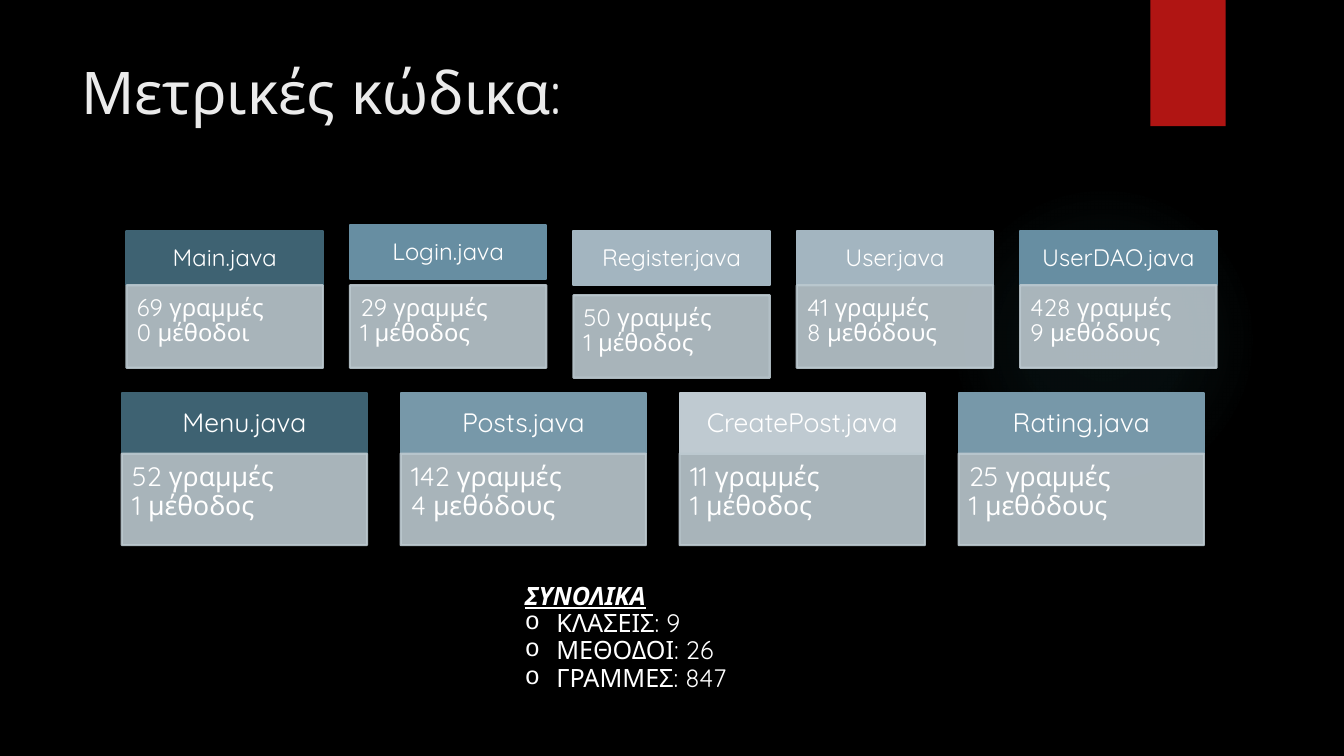
"""Builds the code metrics slide."""
from pptx import Presentation
from pptx.dml.color import RGBColor
from pptx.enum import shapes, text
from pptx.oxml import parse_xml
from pptx.oxml.ns import nsdecls, qn
from pptx.util import Cm, Pt
from lxml import etree

FONT = "Quicksand"
WHITE = "FFFFFF"
PANEL = "BBC8CF"
TOP_CLASSES = [
    ("Main.java", "3E6272", ["69 γραμμές", "0 μέθοδοι"], 0, 0),
    ("Login.java", "678EA2", ["29 γραμμές", "1 μέθοδος"], -0.15, 0),
    ("Register.java", "A3B5C0", ["50 γραμμές", "1 μέθοδος"], 0, 0.25),
    ("User.java", "A3B5C0", ["41 γραμμές", "8 μεθόδους"], 0, 0),
    ("UserDAO.java", "678EA2", ["428 γραμμές", "9 μεθόδους"], 0, 0),
]
BOTTOM_CLASSES = [
    ("Menu.java", "3E6272", ["52 γραμμές", "1 μέθοδος"], 0, 0),
    ("Posts.java", "7798A9", ["142 γραμμές", "4 μεθόδους"], 0, 0),
    ("CreatePost.java", "BFCAD1", ["11 γραμμές", "1 μέθοδος"], 0, 0),
    ("Rating.java", "7798A9", ["25 γραμμές", "1 μεθόδους"], 0, 0),
]


def paint(fill, colour, alpha=100):
    """Give a fill a solid colour and an opacity in percent."""
    fill.solid()
    fill.fore_color.rgb = RGBColor.from_string(colour)
    if alpha < 100:
        element = fill._xPr.find(qn("a:solidFill"))[0]
        etree.SubElement(element, qn("a:alpha"), val=str(alpha * 1000))


def add_run(paragraph, words, size, colour=WHITE):
    """Add one run in the slide font and return it."""
    run = paragraph.add_run()
    run.text = words
    run.font.name = FONT
    run.font.size = Pt(size)
    run.font.color.rgb = RGBColor.from_string(colour)
    return run


def add_lines(frame, lines, size, align=text.PP_ALIGN.LEFT):
    """Write each line as a paragraph of the frame."""
    for index, line in enumerate(lines):
        paragraph = frame.paragraphs[0] if index == 0 else frame.add_paragraph()
        paragraph.alignment = align
        paragraph.line_spacing = 0.9
        add_run(paragraph, line, size)


def add_block(slide, box, colour, alpha=100, outlined=True, preset=shapes.MSO_SHAPE.RECTANGLE):
    """Add a flat shape at a box given in centimetres."""
    shape = slide.shapes.add_shape(preset, *map(Cm, box))
    shape.shadow.inherit = False
    paint(shape.fill, colour, alpha)
    if outlined:
        shape.line.width = Pt(1.5)
        paint(shape.line.fill, colour, alpha)
    else:
        shape.line.fill.background()
    return shape


def set_frame(shape, anchor, insets):
    """Set anchor and left, top, right and bottom insets in centimetres."""
    frame = shape.text_frame
    frame.word_wrap = True
    frame.vertical_anchor = anchor
    (frame.margin_left, frame.margin_top,
     frame.margin_right, frame.margin_bottom) = map(Cm, insets)
    return frame


def add_class_row(slide, classes, left, top, pitch, width, heights, size):
    """Add a row of cards, each with a file name above its metrics."""
    header_height, body_height = heights
    for index, (name, colour, metrics, header_shift, body_shift) in enumerate(classes):
        x = left + index * pitch
        header = add_block(slide, (x, top + header_shift, width, header_height), colour)
        frame = set_frame(header, text.MSO_ANCHOR.MIDDLE, (0.35, 0.2, 0.35, 0.2))
        add_lines(frame, [name], size, text.PP_ALIGN.CENTER)
        body_top = top + header_height + body_shift
        body = add_block(slide, (x, body_top, width, body_height), PANEL, 90)
        frame = set_frame(body, text.MSO_ANCHOR.TOP, (0.26, 0.26, 0.35, 0.4))
        add_lines(frame, metrics, size)


def add_glow(slide):
    """Add the faint round glow on the right."""
    glow = add_block(slide, (23.9, 4.65, 7.82, 7.82), "50B9C1", outlined=False,
                     preset=shapes.MSO_SHAPE.OVAL)
    stops = "".join(
        f'<a:gs pos="{position * 1000}"><a:srgbClr val="50B9C1">'
        f'<a:alpha val="{alpha * 1000}"/></a:srgbClr></a:gs>'
        for position, alpha in ((0, 7), (36, 6), (69, 0), (100, 0)))
    gradient = parse_xml(
        f'<a:gradFill {nsdecls("a")}><a:gsLst>{stops}</a:gsLst><a:path path="circle">'
        '<a:fillToRect l="50000" t="50000" r="50000" b="50000"/></a:path></a:gradFill>')
    properties = glow._element.spPr
    properties.replace(properties.find(qn("a:solidFill")), gradient)


def add_title(slide, words):
    """Place and fill the title placeholder."""
    title = slide.shapes.title
    title.left, title.top, title.width, title.height = map(Cm, (1.8, 1.27, 26.14, 3.89))
    frame = set_frame(title, text.MSO_ANCHOR.TOP, (0.25, 0.13, 0.25, 0.13))
    paragraph = frame.paragraphs[0]
    paragraph.alignment = text.PP_ALIGN.LEFT
    paragraph.line_spacing = 1.0
    add_run(paragraph, words, 42, "EBEBEB")


def add_totals(slide, heading, totals):
    """Add the underlined heading and the bulleted totals."""
    box = slide.shapes.add_textbox(*map(Cm, (12.98, 14.58, 7.01, 3.33)))
    frame = set_frame(box, text.MSO_ANCHOR.TOP, (0.25, 0.13, 0.25, 0.13))
    add_lines(frame, [heading, *totals], 18)
    font = frame.paragraphs[0].runs[0].font
    font.bold = font.italic = font.underline = True
    for paragraph in frame.paragraphs[1:]:
        properties = paragraph._p.get_or_add_pPr()
        properties.set("marL", str(Cm(0.79)))
        properties.set("indent", str(Cm(-0.79)))
        etree.SubElement(properties, qn("a:buFont"), typeface="Courier New")
        etree.SubElement(properties, qn("a:buChar"), char="o")


def main():
    """Build the slide and save it."""
    presentation = Presentation()
    presentation.slide_width, presentation.slide_height = Cm(33.87), Cm(19.05)
    slide = presentation.slides.add_slide(presentation.slide_layouts[5])
    paint(slide.background.fill, "000000")
    add_glow(slide)
    add_block(slide, (28.99, 0, 1.9, 3.18), "B01513", outlined=False)
    add_title(slide, "Μετρικές κώδικα:")
    add_class_row(slide, BOTTOM_CLASSES, 3.07, 9.91, 7.03, 6.18, (1.52, 2.31), 19)
    add_class_row(slide, TOP_CLASSES, 3.19, 5.83, 5.63, 4.95, (1.36, 2.08), 17)
    add_totals(slide, "ΣΥΝΟΛΙΚΑ", ["ΚΛΑΣΕΙΣ: 9", "ΜΕΘΟΔΟΙ: 26", "ΓΡΑΜΜΕΣ: 847"])
    presentation.save("out.pptx")


if __name__ == "__main__":
    main()
